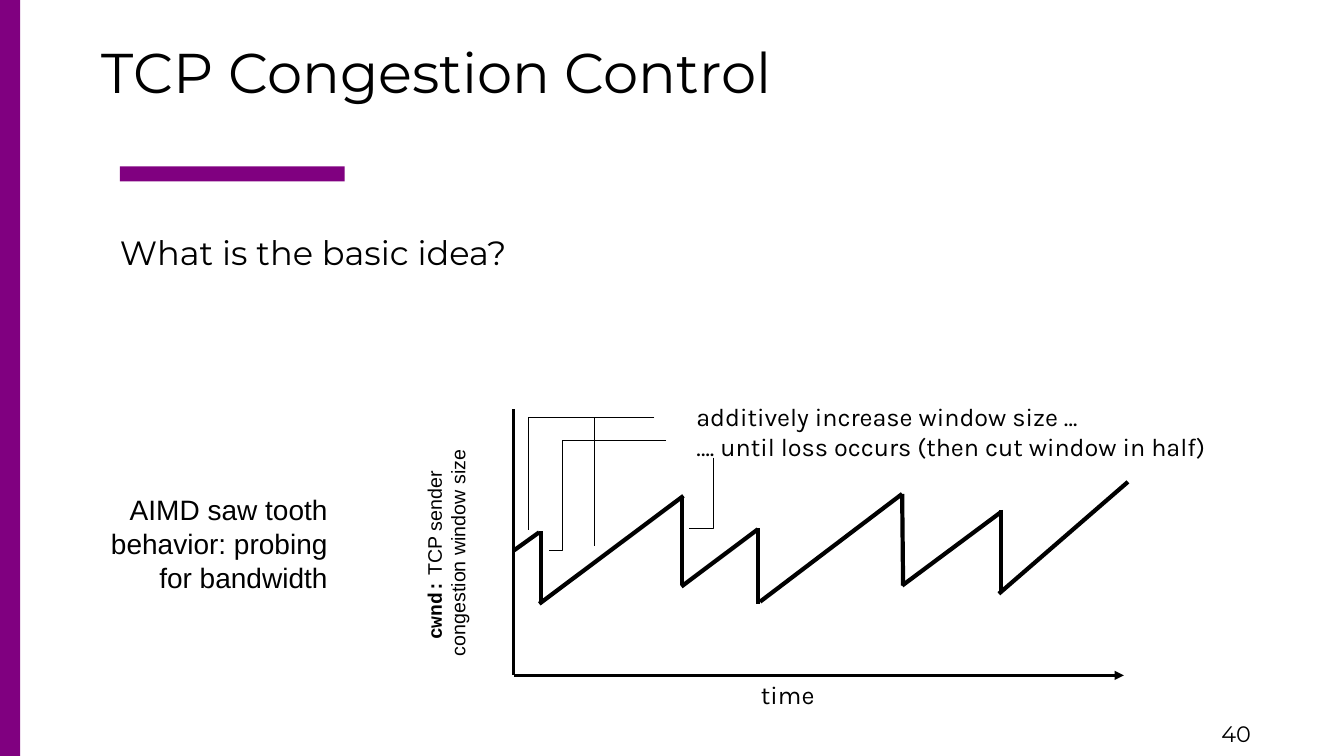
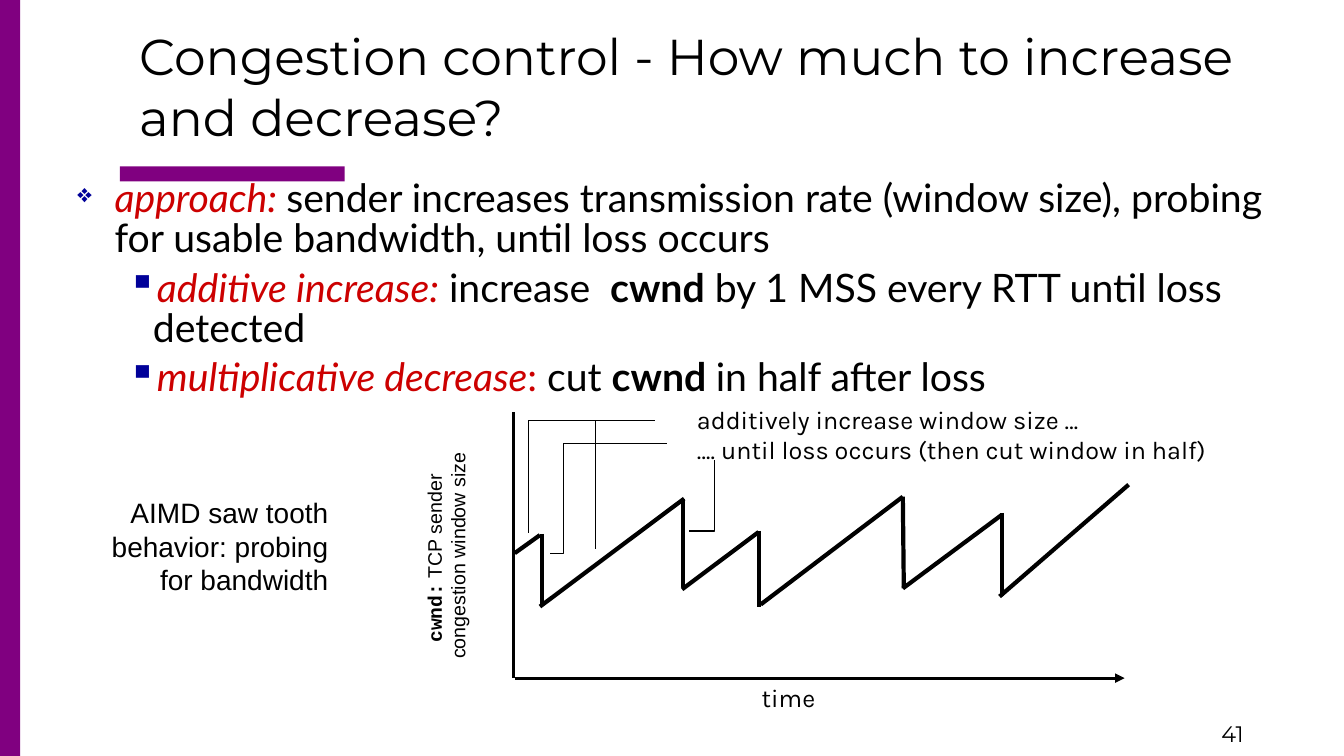
from lxml.etree import SubElement
from pptx import Presentation
from pptx.dml.color import RGBColor
from pptx.enum.shapes import MSO_CONNECTOR as CONNECTOR, MSO_SHAPE as SHAPE
from pptx.enum.text import MSO_ANCHOR as ANCHOR, MSO_AUTO_SIZE as AUTO_SIZE, PP_ALIGN as ALIGN
from pptx.oxml.ns import qn
from pptx.util import Pt

BLACK = RGBColor(0x00, 0x00, 0x00)
PURPLE = RGBColor(0x80, 0x00, 0x80)
RED = RGBColor(0xCC, 0x00, 0x00)
NAVY = RGBColor(0x00, 0x00, 0x99)

BARS = [(85.7, 118.8, 160.6, 10.8), (0, 0, 14.4, 540)]
TITLES = [
    ("TCP Congestion Control", (48.2, 14.4, 878.4, 72.7), 40, ANCHOR.MIDDLE),
    ("Congestion control - How much to increase and decrease?",
     (74.9, 14.4, 852.5, 93.6), 36, ANCHOR.BOTTOM),
]
FIRST_NUMBER = 40
DIAGRAM_SHIFTS = [(0, 0), (0.5, 2)]

APPROACH = [
    (0, [("approach: ", RED, "i"),
         ("sender increases transmission rate (window size), probing for usable "
          "bandwidth, until loss occurs", BLACK, "")]),
    (1, [("additive increase:", RED, "i"), (" increase  ", BLACK, ""), ("cwnd", BLACK, "b"),
         (" by 1 MSS every RTT until loss detected", BLACK, "")]),
    (1, [("multiplicative decrease", RED, "i"), (":", RED, ""), (" cut ", BLACK, ""),
         ("cwnd ", BLACK, "b"), ("in half after loss", BLACK, "")]),
]
BULLETS = [("❖", 26.6, -26.6, 65), ("▪", 54, -18, 100)]

TIME_AXIS = (367.2, 482.4, 802.8, 482.4)
WINDOW_AXIS = (366.5, 292.3, 366.5, 482.4)
SAWTOOTH = [
    (367.2, 393.1, 385.2, 380.2),
    (386.6, 379.4, 386.6, 429.8),
    (385.2, 431.3, 488.2, 354.2),
    (487.4, 354.2, 487.4, 417.6),
    (486.7, 419, 541.4, 378),
    (541.4, 377.3, 541.4, 431.3),
    (542.9, 429.8, 644.4, 352.8),
    (644.4, 352.8, 645.1, 418.3),
    (644.4, 418.3, 715, 365.8),
    (715, 364.3, 715, 423.4),
    (713.5, 424.1, 805.7, 344.2),
]
CALLOUTS = [
    [(467.3, 298.1), (377.3, 298.1), (377.3, 378.7)],
    [(475.9, 314.6), (401.8, 314.6), (401.8, 393.1), (392.4, 393.1)],
    [(467.3, 298.1), (424.8, 298.1), (424.8, 390.2)],
    [(509.8, 326.9), (509.8, 377.3), (491.8, 377.3)],
]
LABELS = [
    (["AIMD saw tooth", "behavior: probing", "for bandwidth"],
     (72, 348.5, 169.2, 79.2), "Arial", 20, ALIGN.RIGHT),
    (["additively increase window size …", "…. until loss occurs (then cut window in half)"],
     (490.3, 283, 386.6, 50.4), "Karla", 18, ALIGN.LEFT),
    (["time"], (536.4, 481.7, 52.6, 28.8), "Karla", 18, ALIGN.CENTER),
]
WINDOW_LABEL = (237.6, 374.4, 162, 41)


def add_text(slide, box, lines, font, size, align=ALIGN.LEFT, wrap=True):
    shape = slide.shapes.add_textbox(*map(Pt, box))
    frame = shape.text_frame
    frame.word_wrap = wrap
    frame.auto_size = AUTO_SIZE.NONE if wrap else AUTO_SIZE.SHAPE_TO_FIT_TEXT
    frame.text = "\n".join(lines)
    for paragraph in frame.paragraphs:
        paragraph.alignment = align
        paragraph.font.name = font
        paragraph.font.size = Pt(size)
        paragraph.font.color.rgb = BLACK
    return shape


def add_line(slide, ends, shift, width):
    x1, y1, x2, y2 = ends
    dx, dy = shift
    line = slide.shapes.add_connector(
        CONNECTOR.STRAIGHT, Pt(x1 + dx), Pt(y1 + dy), Pt(x2 + dx), Pt(y2 + dy))
    line.line.color.rgb = BLACK
    line.line.width = Pt(width)
    SubElement(line._element.spPr, qn("a:effectLst"))
    return line


prs = Presentation()
prs.slide_width, prs.slide_height = Pt(960), Pt(540)
slides = []

for number, (title, box, size, anchor) in enumerate(TITLES, FIRST_NUMBER):
    slide = prs.slides.add_slide(prs.slide_layouts[6])
    slides.append(slide)
    for bar_box in BARS:
        bar = slide.shapes.add_shape(SHAPE.RECTANGLE, *map(Pt, bar_box))
        bar.shadow.inherit = False
        bar.fill.solid()
        bar.fill.fore_color.rgb = PURPLE
        bar.line.fill.background()
    add_text(slide, (865.4, 511.2, 93.6, 28.8), [str(number)], "Montserrat", 16)
    heading = add_text(slide, box, [title], "Montserrat", size).text_frame
    heading.vertical_anchor = anchor
    heading.margin_left = Pt(24.5)

question_slide, approach_slide = slides
add_text(question_slide, (78.5, 162, 840, 40), ["What is the basic idea?"], "Montserrat", 24)

approach = approach_slide.shapes.add_textbox(Pt(48.2), Pt(125.3), Pt(879.1), Pt(158)).text_frame
approach.word_wrap = True
for index, (level, runs) in enumerate(APPROACH):
    paragraph = approach.add_paragraph() if index else approach.paragraphs[0]
    paragraph.level = level
    paragraph.line_spacing = 0.85
    if index:
        paragraph.space_before = Pt(7)
    symbol, margin, indent, percent = BULLETS[level]
    properties = paragraph._p.get_or_add_pPr()
    properties.set("marL", str(Pt(margin)))
    properties.set("indent", str(Pt(indent)))
    bullet_color = SubElement(properties, qn("a:buClr"))
    SubElement(bullet_color, qn("a:srgbClr"), val=str(NAVY))
    SubElement(properties, qn("a:buSzPct"), val=str(percent * 1000))
    SubElement(properties, qn("a:buChar"), char=symbol)
    paragraph.font.name = "Lato"
    paragraph.font.size = Pt(28)
    for text, color, style in runs:
        run = paragraph.add_run()
        run.text = text
        run.font.color.rgb = color
        run.font.italic = style == "i"
        run.font.bold = style == "b"

for slide, shift in zip(slides, DIAGRAM_SHIFTS):
    dx, dy = shift
    x, y, width, height = WINDOW_LABEL
    window_label = add_text(slide, (x, y + dy, width, height), ["", "congestion window size"],
                            "Arial", 14, ALIGN.CENTER, wrap=False)
    window_label.rotation = 270
    sender_line = window_label.text_frame.paragraphs[0]
    variable = sender_line.add_run()
    variable.text = "cwnd:"
    variable.font.name = "Courier New"
    variable.font.bold = True
    sender_line.add_run().text = " TCP sender "

    time_axis = add_line(slide, TIME_AXIS, shift, 2.25)
    SubElement(time_axis.line._get_or_add_ln(), qn("a:tailEnd"), type="triangle")
    add_line(slide, WINDOW_AXIS, shift, 2.25)
    for segment in SAWTOOTH:
        add_line(slide, segment, shift, 3)

    for points in CALLOUTS:
        start, *rest = [(Pt(px + dx), Pt(py + dy)) for px, py in points]
        outline = slide.shapes.build_freeform(*start)
        outline.add_line_segments(rest, close=False)
        callout = outline.convert_to_shape()
        callout.shadow.inherit = False
        callout.fill.background()
        callout.line.color.rgb = BLACK
        callout.line.width = Pt(0.75)

    for lines, (x, y, width, height), font, size, align in LABELS:
        add_text(slide, (x + dx, y + dy, width, height), lines, font, size, align, wrap=False)

prs.save("out.pptx")
